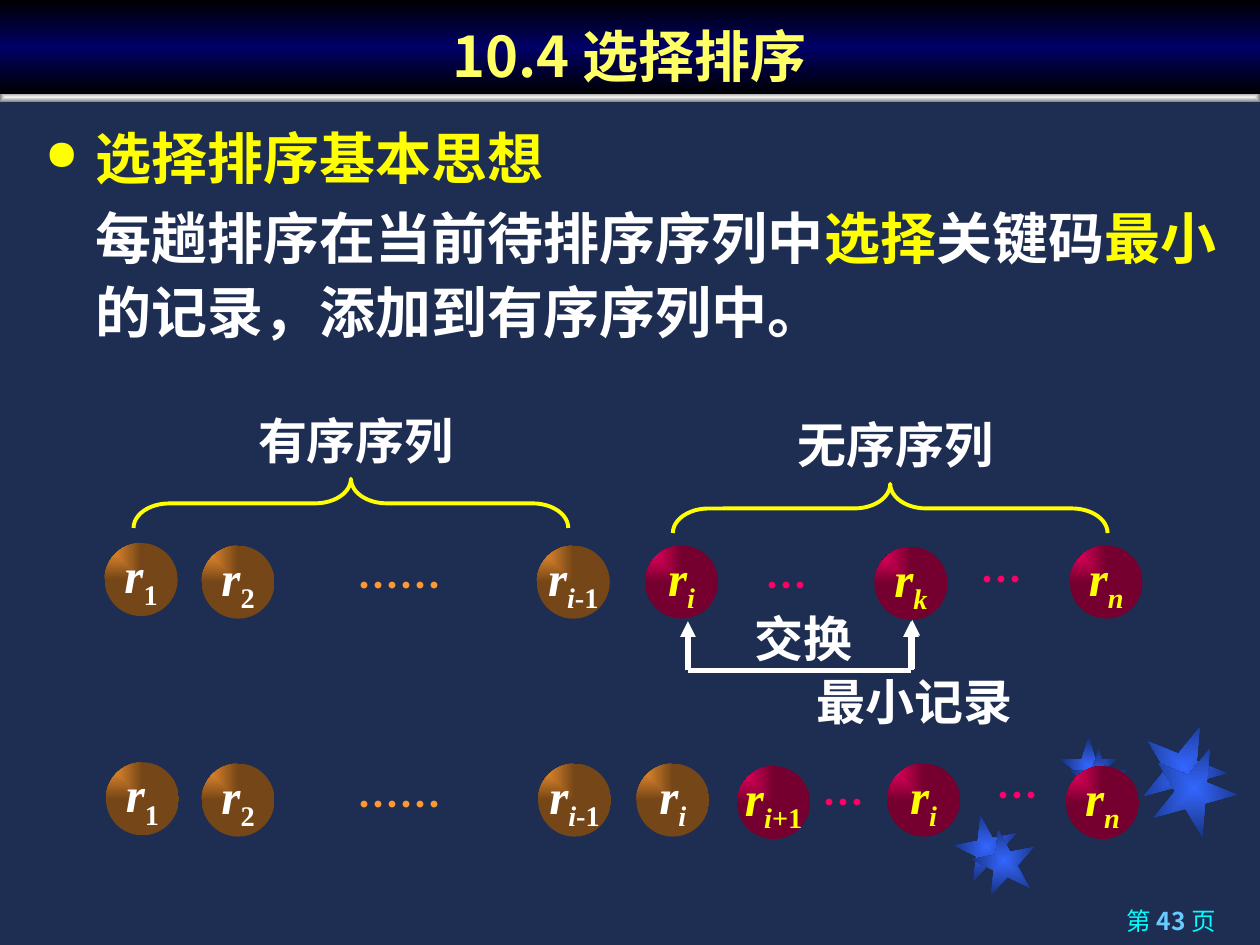
from lxml import etree
from pptx import Presentation
from pptx.dml.color import RGBColor
from pptx.enum.shapes import MSO_CONNECTOR as Connector, MSO_SHAPE as Preset
from pptx.enum.text import MSO_ANCHOR as Anchor, PP_ALIGN as Align
from pptx.oxml import parse_xml
from pptx.oxml.ns import nsdecls, qn
from pptx.util import Inches, Pt

SANS, SERIF, ARIAL = "Noto Sans CJK SC", "Times New Roman", "Arial"
WHITE, YELLOW, ORANGE, PINK = "FFFFFF", "FFFF00", "FF9933", "FF0066"
CENTER = 'path="shape"', 'l="50000" t="50000" r="50000" b="50000"'
CORNER = 'path="rect"', 'r="100000" b="100000"'


def paint(shape, colors, path=None):
    """Give a shape an evenly stepped gradient, linear downwards unless a path is named."""
    shape.shadow.inherit = False
    shape.line.fill.background()
    shape.fill.solid()
    step = 100000 // (len(colors) - 1)
    stops = "".join(f'<a:gs pos="{i * step}"><a:srgbClr val="{color}"/></a:gs>'
                    for i, color in enumerate(colors))
    direction = '<a:lin ang="5400000" scaled="0"/>'
    if path:
        direction = f'<a:path {path[0]}><a:fillToRect {path[1]}/></a:path>'
    gradient = parse_xml(f'<a:gradFill {nsdecls("a")} rotWithShape="1">'
                         f'<a:gsLst>{stops}</a:gsLst>{direction}</a:gradFill>')
    properties = shape._element.spPr
    properties.replace(properties.find(qn("a:solidFill")), gradient)


def write(paragraph, runs, font, size, align=Align.LEFT, bold=True):
    """Add runs of (text, colour, extra font values); "baseline" lowers a run."""
    paragraph.alignment = align
    for text, color, extra in runs:
        run = paragraph.add_run()
        run.text = text
        run.font.color.rgb = RGBColor.from_string(color)
        values = {"name": font, "size": Pt(size), "bold": bold, **extra}
        baseline = values.pop("baseline", None)
        for name, value in values.items():
            setattr(run.font, name, value)
        properties = run._r.get_or_add_rPr()
        if baseline:
            properties.set("baseline", str(baseline))
        etree.SubElement(properties, qn("a:ea")).set("typeface", SANS)


presentation = Presentation()
presentation.slide_width, presentation.slide_height = Inches(10), Inches(7.5)
slide = presentation.slides.add_slide(presentation.slide_layouts[6])
slide.background.fill.solid()
slide.background.fill.fore_color.rgb = RGBColor.from_string("1E2E53")
shapes = slide.shapes

# Corner stars
stars = [(7.58, 6.47, 0.5, 349), (8.41, 5.85, 0.46, 0), (9.06, 5.75, 0.67, 22),
         (7.72, 6.58, 0.5, 349), (8.49, 5.94, 0.46, 0), (9.14, 5.92, 0.67, 22)]
for left, top, size, rotation in stars:
    star = shapes.add_shape(Preset.STAR_5_POINT, Inches(left), Inches(top),
                            Inches(size), Inches(size))
    star.rotation = rotation
    paint(star, ["3366FF", "172F75"], CENTER)

# Title band and the rule under it
rule = shapes.add_shape(Preset.RECTANGLE, 0, Inches(0.73), Inches(10), Inches(0.08))
paint(rule, ["F2F2F2", "808080"], CENTER)
title = shapes.add_shape(Preset.RECTANGLE, 0, 0, Inches(10), Inches(0.75))
paint(title, ["000000", "000066", "000000"])
title.text_frame.vertical_anchor = Anchor.BOTTOM
write(title.text_frame.paragraphs[0], [("10.4 选择排序", "FFFF66", {})], SANS, 32, Align.CENTER)

# Page number
page = shapes.add_textbox(Inches(7.12), Inches(7.14), Inches(2.63), Inches(0.36))
page.text_frame.word_wrap = True
write(page.text_frame.paragraphs[0],
      [("第 ", "00FFFF", {}), ("43 ", "66CCFF", {"bold": True}), ("页", "00FFFF", {})],
      SANS, 14, Align.RIGHT, bold=False)

# Basic idea
body = shapes.add_textbox(Inches(0.26), Inches(0.88), Inches(9.58), Inches(1.91))
body.text_frame.word_wrap = True
heading, idea = body.text_frame.paragraphs[0], body.text_frame.add_paragraph()
write(heading, [("选择排序基本思想", YELLOW, {})], SERIF, 32)
write(idea, [("每趟排序在当前待排序序列中", WHITE, {}), ("选择", YELLOW, {}),
             ("关键码", WHITE, {}), ("最小", YELLOW, {}),
             ("的记录，添加到有序序列中。", WHITE, {})], SERIF, 32)
for paragraph, indent in [(heading, -0.4), (idea, 0)]:
    paragraph.line_spacing = 1.1
    paragraph.space_before = Pt(3.2)
    properties = paragraph._p.get_or_add_pPr()
    properties.set("marL", str(Inches(0.4)))
    properties.set("indent", str(Inches(indent)))
bullet = heading._p.get_or_add_pPr()
etree.SubElement(bullet, qn("a:buSzPct")).set("val", "75000")
etree.SubElement(bullet, qn("a:buChar")).set("char", "●")

# Braces over the two sequences
for left, top in [(2.59, 2.27), (6.87, 2.31)]:
    brace = shapes.add_shape(Preset.LEFT_BRACE, Inches(left), Inches(top),
                             Inches(0.39), Inches(3.45))
    brace.rotation = 90
    brace.adjustments[0] = 0.729
    brace.shadow.inherit = False
    brace.fill.background()
    brace.line.color.rgb = RGBColor.from_string(YELLOW)
    brace.line.width = Pt(2.25)

# Records: left, top, subscript as (text, italic) parts
sorted_records = [
    (0.83, 4.31, [("1", False)]), (1.6, 4.33, [("2", False)]),
    (4.26, 4.33, [("i", True), ("-1", False)]),
    (0.84, 6.05, [("1", False)]), (1.6, 6.06, [("2", False)]),
    (4.27, 6.06, [("i", True), ("-1", False)]), (5.05, 6.06, [("i", True)])]
unsorted_records = [
    (5.12, 4.33, [("i", True)]), (6.94, 4.34, [("k", True)]), (8.49, 4.33, [("n", True)]),
    (5.85, 6.08, [("i+", True), ("1", False)]), (7.04, 6.06, [("i", True)]),
    (8.46, 6.08, [("n", True)])]
for records, color, gradient in [(sorted_records, WHITE, [ORANGE, "754617"]),
                                 (unsorted_records, YELLOW, [PINK, "75002F"])]:
    for left, top, subscript in records:
        ball = shapes.add_shape(Preset.OVAL, Inches(left), Inches(top),
                                Inches(0.58), Inches(0.58))
        paint(ball, gradient, CORNER)
        frame_format = {"word_wrap": False, "vertical_anchor": Anchor.MIDDLE, "margin_left": 0,
                        "margin_right": 0, "margin_top": 0, "margin_bottom": 0}
        for name, value in frame_format.items():
            setattr(ball.text_frame, name, value)
        paragraph = ball.text_frame.paragraphs[0]
        paragraph.line_spacing = 0.7
        runs = [("r", color, {"italic": True})]
        runs += [(text, color, {"italic": italic, "baseline": -25000})
                 for text, italic in subscript]
        write(paragraph, runs, SERIF, 28, Align.CENTER)

# Swap arrows
for start_x, start_y, end_x, end_y, arrow in [
        (5.46, 5.32, 7.23, 5.32, False), (7.23, 5.32, 7.23, 4.93, True),
        (5.46, 5.32, 5.46, 4.93, True), (7.24, 5.31, 7.24, 4.92, True)]:
    line = shapes.add_connector(Connector.STRAIGHT, Inches(start_x), Inches(start_y),
                                Inches(end_x), Inches(end_y))
    line.line.color.rgb = RGBColor.from_string(WHITE)
    line.line.width = Pt(3)
    if arrow:
        etree.SubElement(line.line._get_or_add_ln(), qn("a:tailEnd")).set("type", "triangle")
    etree.SubElement(line._element.spPr, qn("a:effectLst"))

# Labels and ellipses
labels = [(1.95, 3.21, 2.17, "有序序列"), (6.23, 3.24, 2.17, "无序序列"),
          (5.89, 4.78, 0.98, "交换"), (6.38, 5.28, 1.77, "最小记录")]
dots = [(2.74, 4.39, 1.01, "……", ORANGE), (2.74, 6.13, 1.01, "……", ORANGE),
        (5.98, 4.39, 0.64, "…", PINK), (7.68, 4.34, 0.64, "…", PINK),
        (6.43, 6.11, 0.64, "…", PINK), (7.81, 6.06, 0.64, "…", PINK)]
captions = [(*label, WHITE, ARIAL, 28, 0.57) for label in labels]
captions += [(*dot, SANS, 24, 0.5) for dot in dots]
for left, top, width, text, color, font, size, height in captions:
    caption = shapes.add_textbox(Inches(left), Inches(top), Inches(width), Inches(height))
    caption.text_frame.word_wrap = True
    write(caption.text_frame.paragraphs[0], [(text, color, {})], font, size)

presentation.save("out.pptx")
